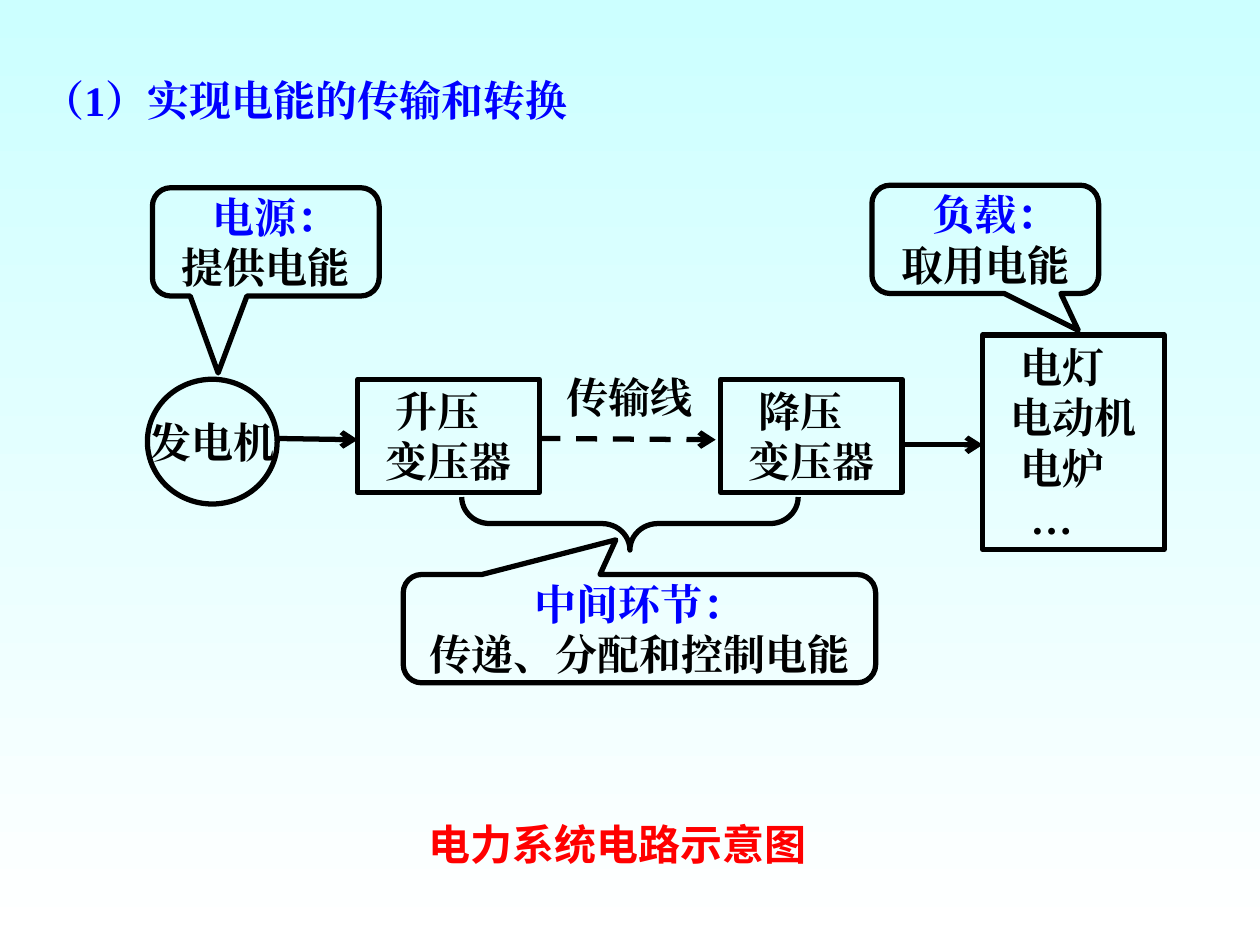
from lxml.etree import SubElement as Sub
from pptx import Presentation
from pptx.dml.color import RGBColor as RGB
from pptx.enum.dml import MSO_LINE as Dash
from pptx.enum.shapes import MSO_CONNECTOR as Conn, MSO_SHAPE as Kind
from pptx.enum.text import MSO_ANCHOR as Anchor, MSO_AUTO_SIZE as Auto, PP_ALIGN as Align
from pptx.oxml.ns import qn
from pptx.util import Inches, Pt

INK = {"black": "000000", "blue": "0000FF", "red": "FF0000", "sky": "CCFFFF", "white": "FFFFFF"}
SERIF, SANS = "Times New Roman", "Noto Sans CJK SC"
STEP = 0.08

TITLE = [("（1）实现电能的传输和转换", 0, "blue")]
BOXES = [
    ((2.84, 3.01, 1.44, 0.9), [("升压", 1, "black"), ("变压器", 0, "black")]),
    ((5.72, 3.01, 1.44, 0.9), [("降压", 1, "black"), ("变压器", 0, "black")]),
    ((7.8, 2.66, 1.44, 1.7), [("电灯", 1, "black"), ("电动机", 0, "black"),
                              ("电炉", 1, "black"), ("…", 2, "black")]),
]
SOURCE = ((1.17, 3.01, 1.03, 0.99), [("发电机", 0, "black")])
CALLS = [
    ((1.21, 1.49, 1.8, 0.86), (-0.21, 1.21, 0.17),
     [("电源：", 2, "blue"), ("提供电能", 0, "black")]),
    ((3.2, 4.56, 3.75, 0.86), (-0.05, -0.82, 0.17),
     [("中间环节：", 0, "blue"), ("传递、分配和控制电能", 0, "black")]),
    ((6.92, 1.47, 1.8, 0.86), (0.41, 0.84, 0.17),
     [("负载：", 2, "blue"), ("取用电能", 0, "black")]),
]
LABELS = [
    ((4.4, 2.9, 1.44, 0.5), [("传输线", 0, "black")], SERIF, 0.1, 0.05),
    ((3.4, 6.5, 3, 0.4), [("电力系统电路示意图", 0, "red")], SANS, 0, 0),
]
ARROWS = [
    ((2.2, 3.48, 2.84, 3.49), None),
    ((4.28, 3.48, 5.68, 3.49), Dash.DASH),
    ((7.16, 3.53, 7.8, 3.53), None),
]


def put(obj, vals):
    """Set each named value on an object."""
    for key, val in vals.items():
        setattr(obj, key, val)


def span(nums):
    """Turn plain numbers into lengths."""
    return [Inches(n) for n in nums]


def write(shape, lines, face=SERIF, align=Align.LEFT, anchor=Anchor.MIDDLE,
          side=0.1, top=0.05, wrap=False):
    """Fill a shape with styled lines of text."""
    frame = shape.text_frame
    put(frame, {"word_wrap": wrap, "auto_size": Auto.NONE, "vertical_anchor": anchor,
                "margin_left": Inches(side), "margin_right": Inches(side),
                "margin_top": Inches(top), "margin_bottom": Inches(top)})
    for i, (text, steps, tone) in enumerate(lines):
        para = frame.add_paragraph() if i else frame.paragraphs[0]
        put(para, {"alignment": align, "space_before": Pt(0)})
        prop = para._p.get_or_add_pPr()
        prop.set("marL", str(Inches(steps * STEP)))
        prop.set("indent", "0")
        run = para.add_run()
        run.text = text
        put(run.font, {"name": face, "size": Pt(24), "bold": True})
        run.font.color.rgb = RGB.from_string(INK[tone])
        Sub(run._r.get_or_add_rPr(), qn("a:ea")).set("typeface", face)


def trace(shape):
    """Give a line or outline its black stroke."""
    put(shape.line, {"width": Pt(3)})
    shape.line.color.rgb = RGB.from_string(INK["black"])


def draw(slide, kind, at, adj=()):
    """Add an unfilled outlined shape."""
    shape = slide.shapes.add_shape(kind, *span(at))
    shape.shadow.inherit = False
    shape.fill.background()
    trace(shape)
    for i, val in enumerate(adj):
        shape.adjustments[i] = val
    return shape


def link(slide, ends, dash):
    """Add an arrow between two points."""
    line = slide.shapes.add_connector(Conn.STRAIGHT, *span(ends))
    trace(line)
    if dash:
        line.line.dash_style = dash
    Sub(line.line._get_or_add_ln(), qn("a:tailEnd")).set("type", "arrow")
    Sub(line._element.spPr, qn("a:effectLst"))


def main():
    """Build the power system slide."""
    deck = Presentation()
    put(deck, {"slide_width": Inches(10), "slide_height": Inches(7.5)})
    slide = deck.slides.add_slide(deck.slide_layouts[5])
    fill = slide.background.fill
    fill.gradient()
    fill.gradient_angle = 270
    for stop, tone, pos in zip(fill.gradient_stops, ("sky", "white"), (0, 1)):
        stop.color.rgb = RGB.from_string(INK[tone])
        stop.position = pos

    title = slide.shapes.title
    put(title, dict(zip(("left", "top", "width", "height"), span((0.16, 0.54, 4.52, 0.5)))))
    write(title, TITLE, align=Align.CENTER, anchor=Anchor.TOP)

    for at, lines in BOXES:
        write(draw(slide, Kind.RECTANGLE, at), lines, side=0.22)
    at, lines = SOURCE
    write(draw(slide, Kind.OVAL, at), lines, align=Align.CENTER)
    for at, adj, lines in CALLS:
        shape = draw(slide, Kind.ROUNDED_RECTANGULAR_CALLOUT, at, adj)
        write(shape, lines, align=Align.CENTER)
    for ends, dash in ARROWS:
        link(slide, ends, dash)
    brace = draw(slide, Kind.LEFT_BRACE, (4.79, 2.82, 0.42, 2.67), (0.53, 0.5))
    brace.rotation = 270
    for at, lines, face, side, top in LABELS:
        label = slide.shapes.add_textbox(*span(at))
        write(label, lines, face, anchor=Anchor.TOP, side=side, top=top, wrap=True)
    deck.save("out.pptx")


if __name__ == "__main__":
    main()
